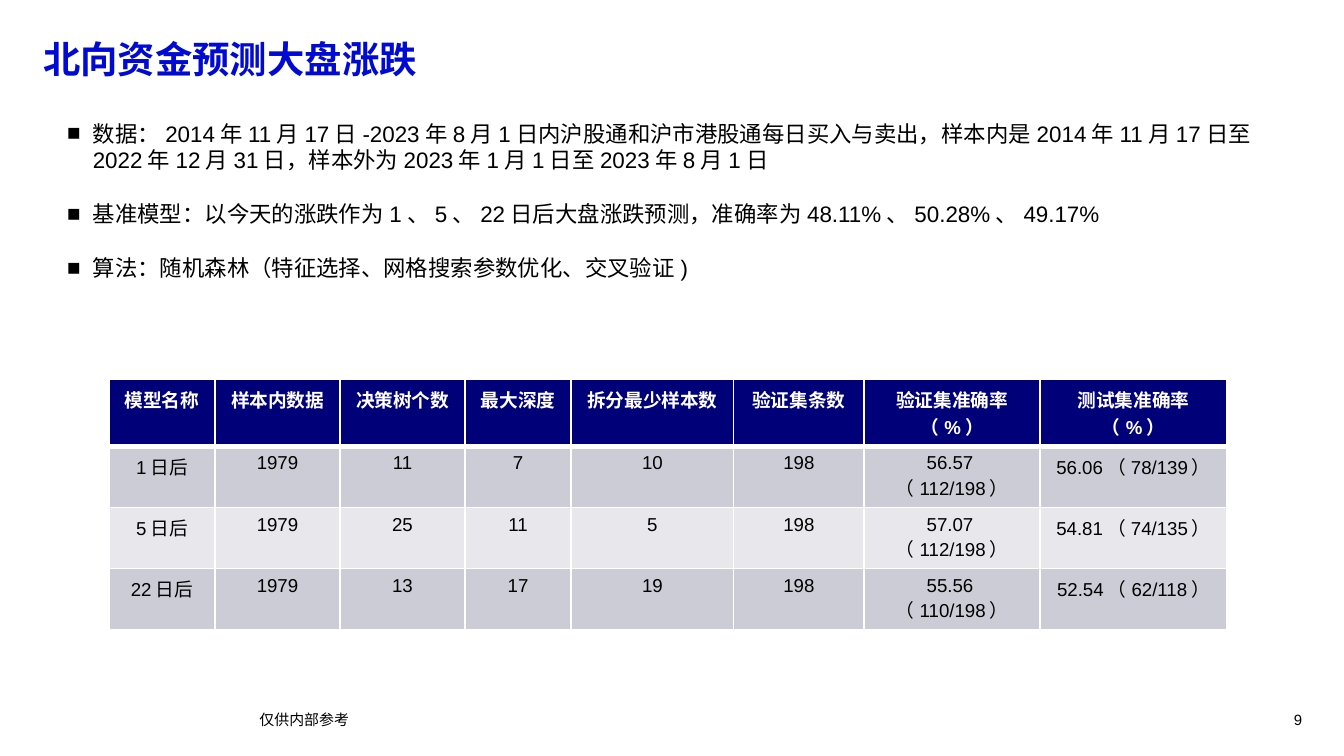
"""Build the slide on forecasting the market from northbound funds."""
from dataclasses import dataclass

from lxml.etree import SubElement as Sub
from pptx import Presentation
from pptx.dml.color import RGBColor as Rgb
from pptx.enum.text import MSO_ANCHOR as Anchor, MSO_AUTO_SIZE as Fit, PP_ALIGN as Align
from pptx.oxml.ns import qn
from pptx.util import Inches, Pt


@dataclass(frozen=True)
class Theme:
    font: str = "Arial"
    ink: str = "000000"
    blue: str = "000AD2"
    navy: str = "000078"
    white: str = "FFFFFF"
    bands: tuple = ("CCCCD6", "E7E7EC")
    head: int = 20
    body: int = 12
    cell: int = 10
    foot: int = 8
    thin: int = 1
    thick: int = 3


THEME = Theme()
TITLE = "北向资金预测大盘涨跌"
POINTS = [
    "数据：2014年11月17日-2023年8月1日内沪股通和沪市港股通每日买入与卖出，"
    "样本内是2014年11月17日至2022年12月31日，样本外为2023年1月1日至2023年8月1日",
    "基准模型：以今天的涨跌作为1、5、22日后大盘涨跌预测，准确率为48.11%、50.28%、49.17%",
    "算法：随机森林（特征选择、网格搜索参数优化、交叉验证)",
]
ROWS = [
    ["模型名称", "样本内数据", "决策树个数", "最大深度", "拆分最少样本数",
     "验证集条数", "验证集准确率（%）", "测试集准确率（%）"],
    ["1日后", "1979", "11", "7", "10", "198", "56.57（112/198）", "56.06（78/139）"],
    ["5日后", "1979", "25", "11", "5", "198", "57.07（112/198）", "54.81（74/135）"],
    ["22日后", "1979", "13", "17", "19", "198", "55.56（110/198）", "52.54（62/118）"],
]
WIDTHS = [0.79, 0.93, 0.93, 0.79, 1.21, 0.97, 1.31, 1.39]


def write(para, text, size=THEME.body, color=THEME.ink, bold=False, align=Align.LEFT, before=0):
    """Put formatted text in a paragraph."""
    para.alignment = align
    para.space_before = Pt(before)
    run = para.add_run()
    run.text = text
    font = run.font
    font.name, font.size, font.bold = THEME.font, Pt(size), bold
    font.color.rgb = Rgb.from_string(color)


def place(shape, left, top, width, height, anchor=Anchor.TOP):
    """Position a text shape, clear its margins and return its frame."""
    shape.left, shape.top = Inches(left), Inches(top)
    shape.width, shape.height = Inches(width), Inches(height)
    frame = shape.text_frame
    frame.margin_left = frame.margin_right = frame.margin_top = frame.margin_bottom = 0
    frame.word_wrap, frame.auto_size = True, Fit.NONE
    frame.vertical_anchor = anchor
    return frame


def add_note(slide, text, left, width, align=Align.LEFT):
    """Add a line of small text at the foot of the slide."""
    box = slide.shapes.add_textbox(0, 0, 0, 0)
    frame = place(box, left, 5.28, width, 0.15, Anchor.MIDDLE)
    write(frame.paragraphs[0], text, size=THEME.foot, align=align)


def add_list(frame, points):
    """Fill a frame with square-bulleted points."""
    for i, point in enumerate(points):
        para = frame.add_paragraph() if i else frame.paragraphs[0]
        props = para._p.get_or_add_pPr()
        props.set("marL", str(Inches(0.19)))
        props.set("indent", str(-Inches(0.19)))
        Sub(props, qn("a:buFont"), typeface=THEME.font)
        Sub(props, qn("a:buChar"), char="■")
        write(para, point, before=14.4 if i else 0)


def rule(cell, **sides):
    """Draw white borders of the given widths on the sides of a cell."""
    props = cell._tc.get_or_add_tcPr()
    for side in "LRTB":
        line = Sub(props, qn(f"a:ln{side}"), w=str(Pt(sides.get(side, THEME.thin))))
        fill = Sub(line, qn("a:solidFill"))
        Sub(fill, qn("a:srgbClr"), val=THEME.white)


def add_grid(slide, rows, widths):
    """Add the results table with a dark header and banded rows."""
    shape = slide.shapes.add_table(len(rows), len(widths), Inches(0.81), Inches(2.82),
                                   Inches(sum(widths)), Inches(0.41 * len(rows)))
    grid = shape.table
    grid.horz_banding = False
    for col, width in zip(grid.columns, widths):
        col.width = Inches(width)
    for r, row in enumerate(rows):
        head = r == 0
        shade = THEME.navy if head else THEME.bands[(r - 1) % 2]
        edge = {0: {"B": THEME.thick}, 1: {"T": THEME.thick}}.get(r, {})
        for c, text in enumerate(row):
            cell = grid.cell(r, c)
            rule(cell, **edge)
            cell.fill.solid()
            cell.fill.fore_color.rgb = Rgb.from_string(shade)
            write(cell.text_frame.paragraphs[0], text, size=THEME.cell, bold=head,
                  color=THEME.white if head else THEME.ink, align=Align.CENTER)


def main():
    """Build and save the deck."""
    deck = Presentation()
    deck.slide_width, deck.slide_height = Inches(10), Inches(10) * 9 // 16
    slide = deck.slides.add_slide(deck.slide_layouts[1])
    add_note(slide, "仅供内部参考", 1.93, 6.46)
    add_note(slide, "9", 9.3, 0.39, align=Align.RIGHT)
    add_list(place(slide.placeholders[1], 0.5, 0.89, 9, 1.4), POINTS)
    title = place(slide.shapes.title, 0.32, 0.27, 3.09, 0.42)
    write(title.paragraphs[0], TITLE, size=THEME.head, color=THEME.blue, bold=True)
    add_grid(slide, ROWS, WIDTHS)
    deck.save("out.pptx")


if __name__ == "__main__":
    main()
